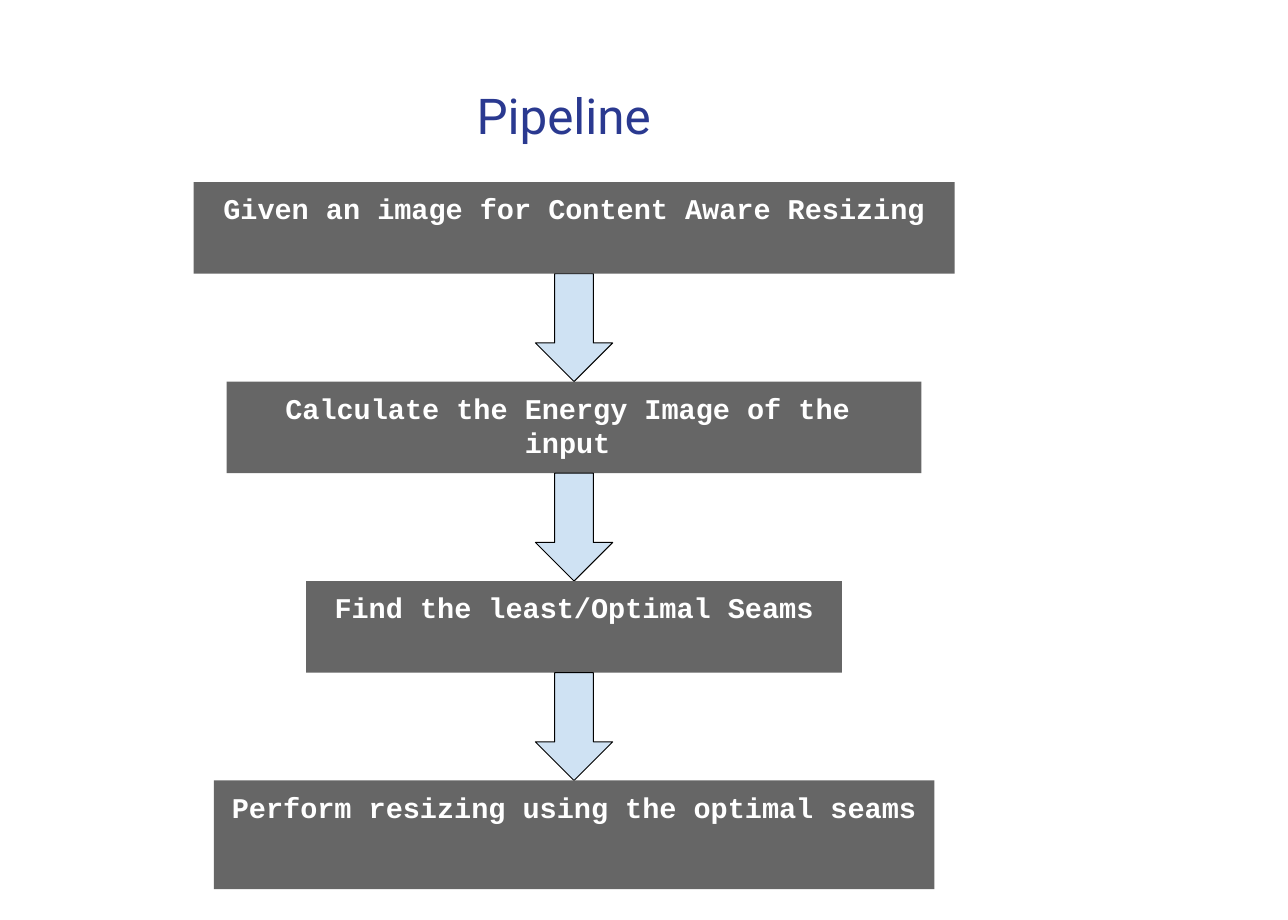
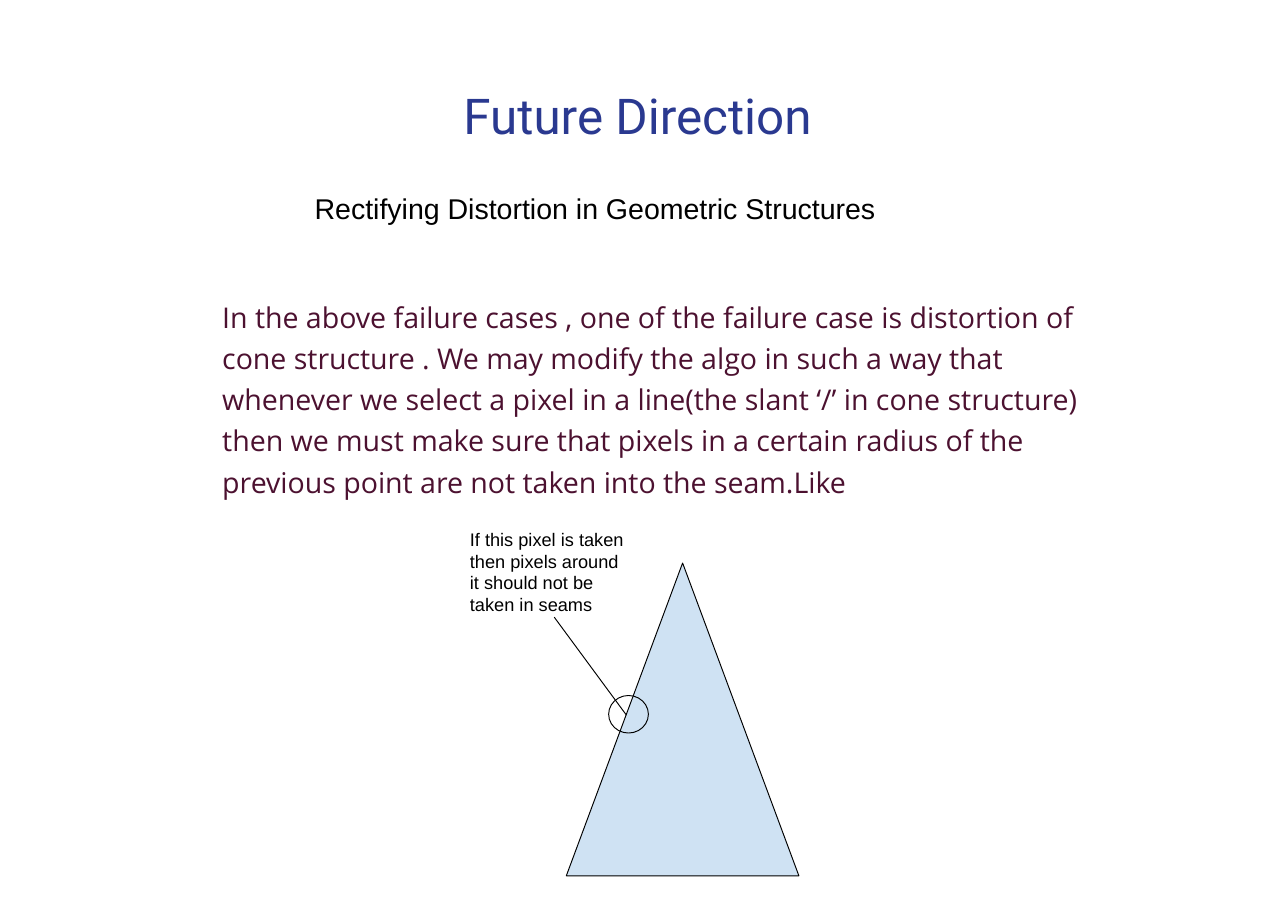
from lxml import etree
from pptx import Presentation
from pptx.dml.color import RGBColor
from pptx.enum.shapes import MSO_CONNECTOR, MSO_SHAPE
from pptx.enum.text import MSO_ANCHOR, MSO_AUTO_SIZE, PP_ALIGN
from pptx.oxml.ns import qn
from pptx.util import Cm, Pt

RECT, ARROW = MSO_SHAPE.RECTANGLE, MSO_SHAPE.DOWN_ARROW
CONE, RING = MSO_SHAPE.ISOSCELES_TRIANGLE, MSO_SHAPE.OVAL
STRAIGHT = MSO_CONNECTOR.STRAIGHT
TOP, FIXED = MSO_ANCHOR.TOP, MSO_AUTO_SIZE.NONE
LEFT, CENTER = PP_ALIGN.LEFT, PP_ALIGN.CENTER

BLACK, WHITE, NAVY = "000000", "FFFFFF", "2A3990"
GRAY, SKY, WINE = "666666", "CFE2F3", "4C1130"
TITLE_BOX = (1.19, 1.98, 32.61, 2.95)
STEPS = [
    ("Given an image for Content Aware Resizing", 20.68, 2.49, 0.25),
    ("Calculate the Energy Image of the input", 18.88, 2.49, 0.6),
    ("Find the least/Optimal Seams", 14.56, 2.49, 0.25),
    ("Perform resizing using the optimal seams", 19.58, 2.95, 0.25),
]
BODY = (
    "In the above failure cases , one of the failure case is distortion of "
    "cone structure . We may modify the algo in such a way that whenever we "
    "select a pixel in a line(the slant ‘/’ in cone structure) then we must "
    "make sure that pixels in a certain radius of the previous point are not "
    "taken into the seam.Like"
)
NOTE = "If this pixel is taken then pixels around it should not be taken in seams"


def color(code):
    """Turn a hex string into a colour."""
    return RGBColor.from_string(code)


def write(shape, text, size, font, ink, align=LEFT, bold=False, inset=0.25):
    """Fill a shape with one formatted paragraph and return it."""
    frame = shape.text_frame
    frame.text = text
    frame.word_wrap = True
    frame.auto_size = FIXED
    frame.vertical_anchor = TOP
    frame.margin_left = frame.margin_right = Cm(inset)
    frame.margin_top = frame.margin_bottom = Cm(inset)
    para = frame.paragraphs[0]
    para.alignment = align
    for run in para.runs:
        run.font.size = Pt(size)
        run.font.name = font
        run.font.bold = bold
        run.font.color.rgb = color(ink)
    return para


def label(slide, box, text, size, font, ink):
    """Add a text box and return its paragraph."""
    shape = slide.shapes.add_textbox(*map(Cm, box))
    return write(shape, text, size, font, ink)


def draw(slide, kind, box, fill=None, line=None):
    """Add a preset shape with optional fill and outline."""
    shape = slide.shapes.add_shape(kind, *map(Cm, box))
    shape.shadow.inherit = False
    if fill:
        shape.fill.solid()
        shape.fill.fore_color.rgb = color(fill)
    else:
        shape.fill.background()
    if line:
        shape.line.color.rgb = color(line)
        shape.line.width = Pt(0.75)
    else:
        shape.line.fill.background()
    return shape


def start(deck, text, align):
    """Add a titled slide and return it with its title paragraph."""
    slide = deck.slides.add_slide(deck.slide_layouts[5])
    title = slide.shapes.title
    title.left, title.top, title.width, title.height = map(Cm, TITLE_BOX)
    para = write(title, text, 38, "Roboto", NAVY, align, inset=0.33)
    return slide, para


def flow(slide, mid, top, pitch):
    """Stack the steps around a middle line, joined by arrows."""
    for i, (text, width, height, inset) in enumerate(STEPS):
        y = top + i * pitch
        bar = draw(slide, RECT, (mid - width / 2, y, width, height), GRAY)
        write(bar, text, 22, "Courier New", WHITE, CENTER, True)
        bar.text_frame.margin_right = Cm(inset)
        if i < len(STEPS) - 1:
            gap = (mid - 1.05, y + height, 2.1, pitch - height)
            draw(slide, ARROW, gap, SKY, BLACK)


def cone(slide, x, y):
    """Draw the cone with its marked pixel and note."""
    draw(slide, CONE, (x + 2.87, y + 1.2, 6.32, 8.5), SKY, BLACK)
    draw(slide, RING, (x + 4.02, y + 4.8, 1.08, 1.02), line=BLACK)
    ends = (x + 4.5, y + 5.33, x + 2.54, y + 2.67)
    link = slide.shapes.add_connector(STRAIGHT, *map(Cm, ends))
    link.line.color.rgb = color(BLACK)
    link.line.width = Pt(0.75)
    etree.SubElement(link._element.spPr, qn("a:effectLst"))
    label(slide, (x, y, 4.83, 2.67), NOTE, 14, "Arial", BLACK)


def steps(deck):
    """Build the pipeline slide."""
    slide, para = start(deck, "Pipeline", LEFT)
    props = para._p.get_or_add_pPr()
    props.set("marL", str(Cm(10.16)))
    props.set("indent", str(Cm(1.27)))
    flow(slide, 15.6, 4.95, 5.42)


def future(deck):
    """Build the outlook slide."""
    slide, _ = start(deck, "Future Direction ", CENTER)
    label(slide, (8.3, 4.93, 17.2, 2.13),
          "Rectifying Distortion in Geometric Structures", 22, "Arial", BLACK)
    para = label(slide, (5.79, 7.72, 24.08, 6.05), BODY, 22, "Open Sans", WINE)
    para.line_spacing = 1.2
    cone(slide, 12.52, 14.1)


def main():
    """Build and save the deck."""
    deck = Presentation()
    deck.slide_width, deck.slide_height = Cm(35), Cm(25)
    steps(deck)
    future(deck)
    deck.save("out.pptx")


if __name__ == "__main__":
    main()
